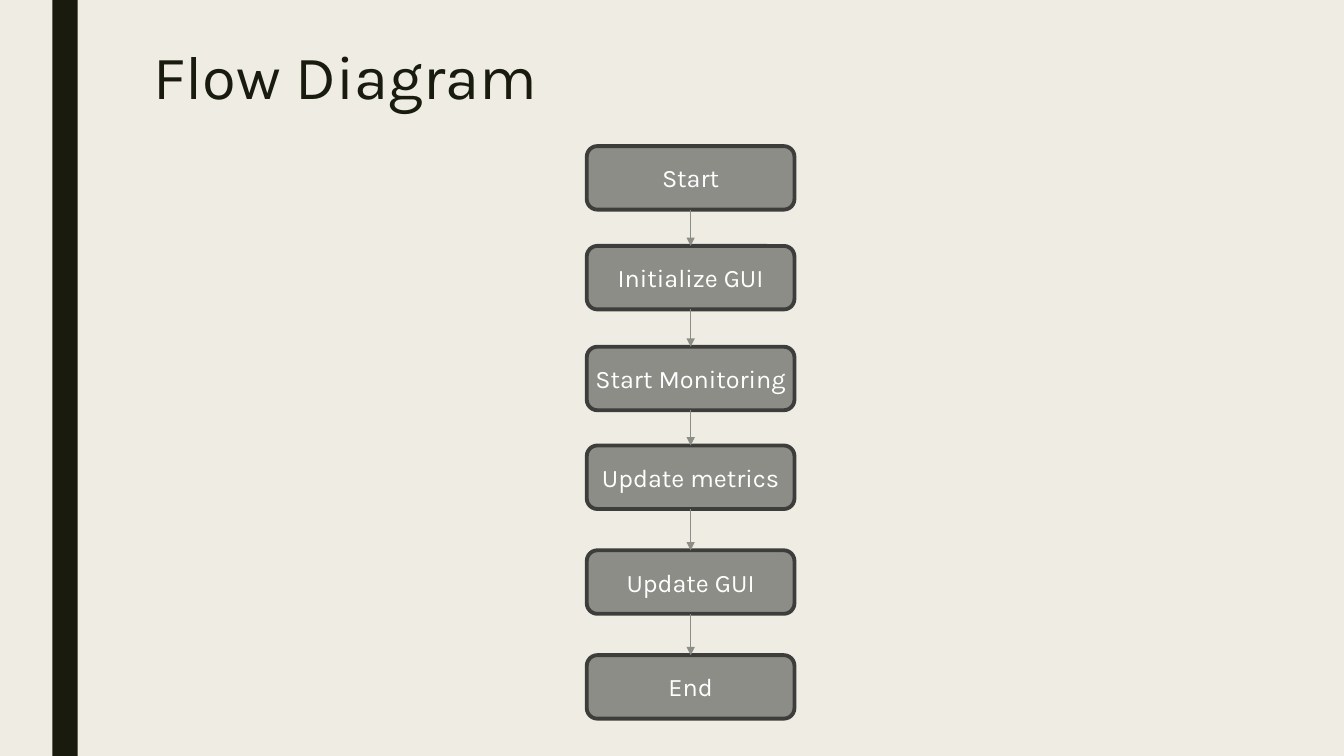
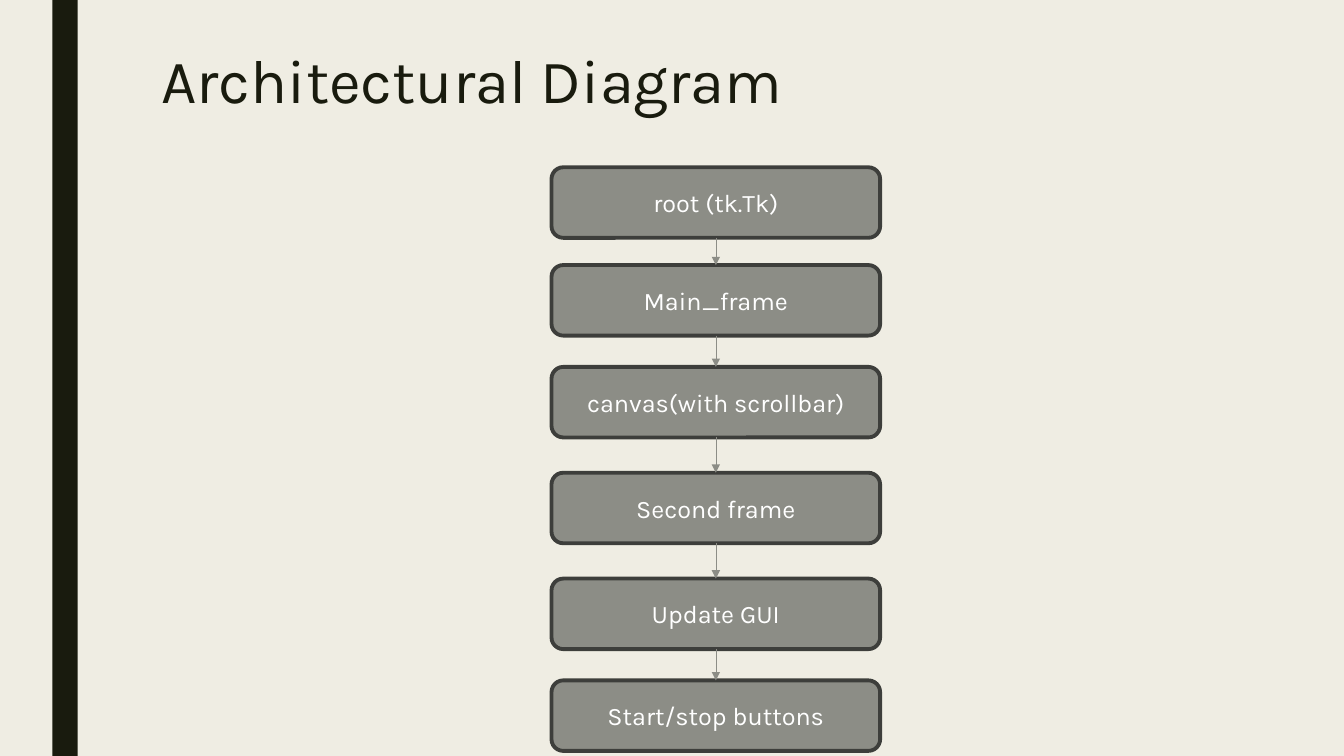
from dataclasses import dataclass
from itertools import pairwise

from lxml import etree
from pptx import Presentation
from pptx.dml.color import RGBColor
from pptx.enum import shapes, text
from pptx.oxml import ns
from pptx.util import Inches, Pt

# Shared style
FONT = "Karla"
CREAM = RGBColor(0xEF, 0xED, 0xE3)
INK = RGBColor(0x19, 0x1B, 0x0E)
GRAY = RGBColor(0x8C, 0x8D, 0x86)
CHARCOAL = RGBColor(0x3D, 0x3E, 0x3B)
WHITE = RGBColor(0xFF, 0xFF, 0xFF)


@dataclass(frozen=True)
class Step:
    label: str
    top: float


@dataclass(frozen=True)
class Flow:
    title: str
    title_left: float
    title_top: float
    title_height: float
    left: float
    width: float
    height: float
    steps: tuple[Step, ...]


FLOWS = (
    Flow(
        "Flow Diagram", 1.42, 0.42, 0.9, left=5.82, width=2.06, height=0.63,
        steps=(
            Step("Start", 1.45),
            Step("Initialize GUI", 2.44),
            Step("Start Monitoring", 3.44),
            Step("Update metrics", 4.42),
            Step("Update GUI", 5.46),
            Step("End", 6.5),
        ),
    ),
    Flow(
        "Architectural Diagram", 1.5, 0.46, 0.8, left=5.47, width=3.26, height=0.7,
        steps=(
            Step("root (tk.Tk)", 1.66),
            Step("Main_frame", 2.63),
            Step("canvas(with scrollbar)", 3.64),
            Step("Second frame", 4.69),
            Step("Update GUI", 5.74),
            Step("Start/stop buttons", 6.75),
        ),
    ),
)


def write_text(shape, content: str, *, size: float, color: RGBColor,
               align=text.PP_ALIGN.LEFT, anchor=text.MSO_ANCHOR.TOP,
               line_spacing: float = 1.0, side_margin: float = 0.1) -> None:
    frame = shape.text_frame
    frame.word_wrap = True
    frame.vertical_anchor = anchor
    frame.margin_left = frame.margin_right = Inches(side_margin)
    paragraph = frame.paragraphs[0]
    paragraph.alignment = align
    paragraph.line_spacing = line_spacing
    run = paragraph.add_run()
    run.text = content
    run.font.name = FONT
    run.font.size = Pt(size)
    run.font.color.rgb = color


def add_frame(slide, flow: Flow) -> None:
    """Draw the side band and the title."""
    band = slide.shapes.add_shape(
        shapes.MSO_SHAPE.RECTANGLE, Inches(0.52), 0, Inches(0.25), Inches(7.5))
    band.shadow.inherit = False
    band.fill.solid()
    band.fill.fore_color.rgb = INK
    band.line.fill.background()

    title = slide.shapes.add_textbox(
        Inches(flow.title_left), Inches(flow.title_top),
        Inches(10.5), Inches(flow.title_height))
    write_text(title, flow.title, size=44, color=INK, line_spacing=0.89)


def add_step(slide, flow: Flow, step: Step) -> None:
    box = slide.shapes.add_shape(
        shapes.MSO_SHAPE.ROUNDED_RECTANGLE, Inches(flow.left), Inches(step.top),
        Inches(flow.width), Inches(flow.height))
    box.shadow.inherit = False
    box.fill.solid()
    box.fill.fore_color.rgb = GRAY
    box.line.color.rgb = CHARCOAL
    box.line.width = Pt(2.75)
    # Narrow side margins keep every label on one line
    write_text(box, step.label, size=18, color=WHITE, side_margin=0.02,
               align=text.PP_ALIGN.CENTER, anchor=text.MSO_ANCHOR.MIDDLE)


def add_arrow(slide, x: float, top: float, bottom: float) -> None:
    arrow = slide.shapes.add_connector(
        shapes.MSO_CONNECTOR.STRAIGHT,
        Inches(x), Inches(top), Inches(x), Inches(bottom))
    arrow.line.color.rgb = GRAY
    arrow.line.width = Pt(0.5)
    # Arrowhead, and no theme shadow
    properties = arrow.element.spPr
    outline = properties.find(ns.qn("a:ln"))
    etree.SubElement(outline, ns.qn("a:tailEnd"), type="triangle")
    etree.SubElement(properties, ns.qn("a:effectLst"))


def add_flow_slide(presentation, flow: Flow) -> None:
    slide = presentation.slides.add_slide(presentation.slide_layouts[6])
    add_frame(slide, flow)
    for step in flow.steps:
        add_step(slide, flow, step)
    center = flow.left + flow.width / 2
    for upper, lower in pairwise(flow.steps):
        add_arrow(slide, center, upper.top + flow.height, lower.top)


def main() -> None:
    presentation = Presentation()
    presentation.slide_width = Inches(13.33)
    presentation.slide_height = Inches(7.5)
    background = presentation.slide_master.background.fill
    background.solid()
    background.fore_color.rgb = CREAM
    for flow in FLOWS:
        add_flow_slide(presentation, flow)
    presentation.save("out.pptx")


if __name__ == "__main__":
    main()
